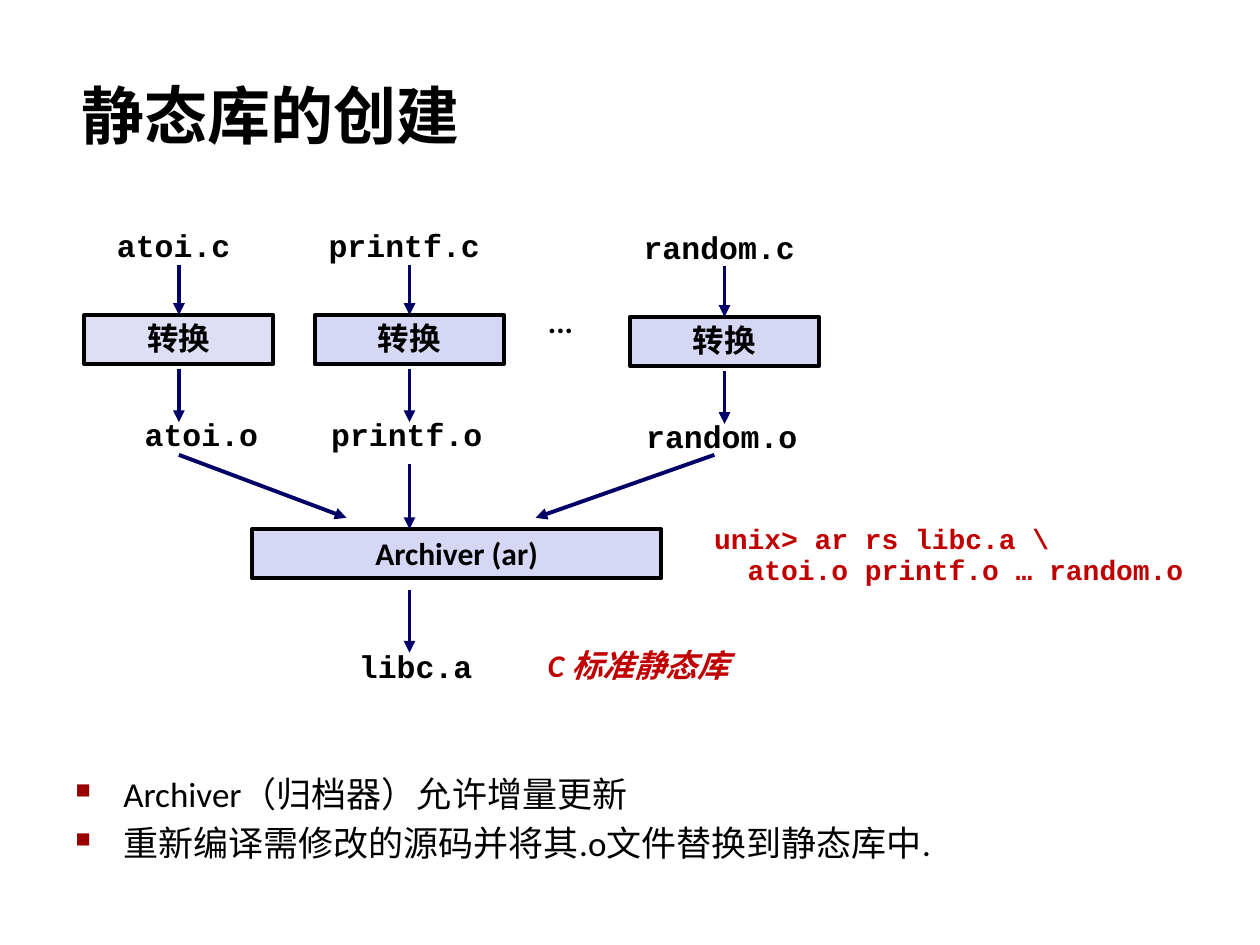
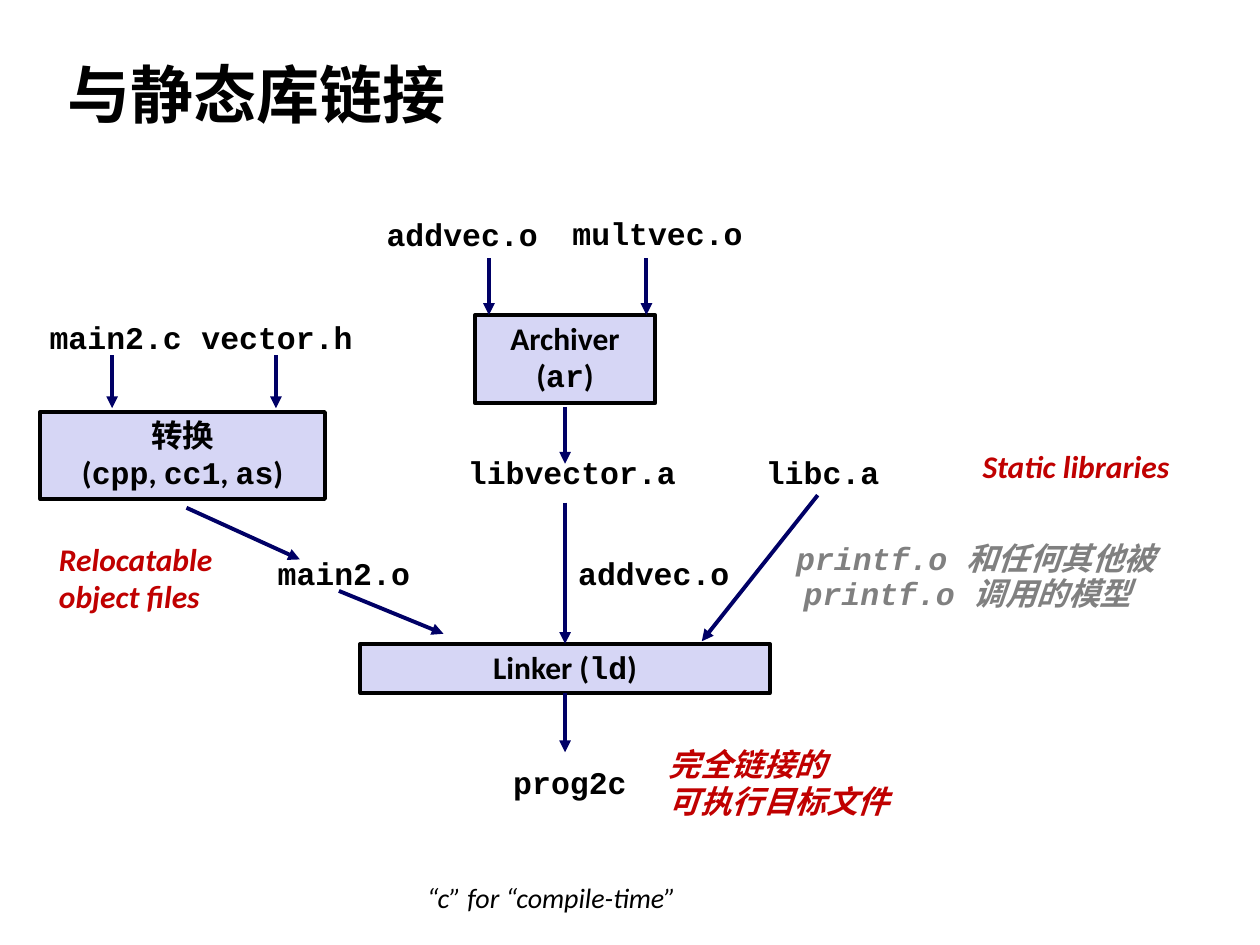
from dataclasses import dataclass
from typing import Any

from lxml.etree import SubElement as Sub
from pptx import Presentation
from pptx.dml.color import RGBColor as Rgb
from pptx.enum.shapes import MSO_CONNECTOR as Link, MSO_SHAPE as Form
from pptx.enum.text import MSO_ANCHOR as Anchor, MSO_AUTO_SIZE as Fit, PP_ALIGN as Align
from pptx.oxml.ns import qn
from pptx.util import Inches, Pt

BLACK = Rgb(0x00, 0x00, 0x00)
NAVY = Rgb(0x00, 0x00, 0x66)
RED = Rgb(0xC0, 0x00, 0x00)
GRAY = Rgb(0x80, 0x80, 0x80)
LILAC = Rgb(0xD6, 0xD6, 0xF5)
PALE = Rgb(0xDE, 0xDF, 0xF5)
SANS, MONO, HAN = "Calibri", "Courier New", "Noto Sans CJK SC"
WIDE, HIGH = Inches(10), Inches(7.5)
COLS, ROWS = 100, 75
BAR = 3.9
NOTE = dict(color=RED, italic=True)


@dataclass
class Area:
    """A box on the slide, in grid columns and rows."""
    shapes: Any
    x: float = 0
    y: float = 0
    w: float = COLS
    h: float = ROWS

    def cut(self, x, y, w, h):
        """Return a box placed relative to this one."""
        return Area(self.shapes, self.x + x, self.y + y, w, h)

    def spot(self, x, y):
        """Turn a relative grid point into slide lengths."""
        return round((self.x + x) * WIDE / COLS), round((self.y + y) * HIGH / ROWS)

    def rect(self):
        """Return the left, top, width and height of the box."""
        return *self.spot(0, 0), round(self.w * WIDE / COLS), round(self.h * HIGH / ROWS)


def write(frame, text, font=SANS, size=18, color=BLACK, bold=True, italic=False,
          align=None, space=0.98, before=0, dot=False, inset=0):
    """Fill a frame line by line; backticks mark code words."""
    for num, line in enumerate(text.split("\n")):
        para = frame.paragraphs[0] if num == 0 else frame.add_paragraph()
        if dot:
            mark(para)
        elif num and inset:
            para._p.get_or_add_pPr().set("marL", str(Inches(inset)))
        para.alignment = align
        para.line_spacing = space
        if num and before:
            para.space_before = Pt(before)
        for step, piece in enumerate(line.split("`")):
            if not piece:
                continue
            run = para.add_run()
            run.text = piece
            face = run.font
            face.name = MONO if step % 2 else font
            face.size, face.bold, face.italic = Pt(size), bold, italic
            face.color.rgb = color
            Sub(run._r.rPr, qn("a:ea")).set("typeface", HAN)


def mark(para):
    """Give a paragraph a small red square and a hanging indent."""
    props = para._p.get_or_add_pPr()
    props.set("marL", str(Inches(0.38)))
    props.set("indent", str(-Inches(0.38)))
    tint = Sub(props, qn("a:buClr"))
    Sub(tint, qn("a:srgbClr")).set("val", "990000")
    Sub(props, qn("a:buSzPct")).set("val", "60000")
    Sub(props, qn("a:buChar")).set("char", "■")


def text(area, words, wrap=False, mid=False, **fmt):
    """Put a text box over the whole area."""
    frame = area.shapes.add_textbox(*area.rect()).text_frame
    frame.word_wrap = wrap
    frame.auto_size = Fit.NONE if wrap else Fit.SHAPE_TO_FIT_TEXT
    frame.vertical_anchor = Anchor.MIDDLE if mid else Anchor.TOP
    write(frame, words, **fmt)


def title(area, words):
    """Write the slide title in its box."""
    text(area, words, wrap=True, mid=True, size=36, space=1.0)


def file(area, mid, y, name):
    """Centre a file name on a column, as wide as its letters."""
    wide = 1.5 * len(name) + 2
    text(area.cut(mid - wide / 2, y, wide, BAR), name, font=MONO, space=0.94)


def tool(area, words, fill=LILAC):
    """Draw a framed tool box over the whole area."""
    box = area.shapes.add_shape(Form.RECTANGLE, *area.rect())
    box.shadow.inherit = False
    box.fill.solid()
    box.fill.fore_color.rgb = fill
    box.line.color.rgb = BLACK
    box.line.width = Pt(2.25)
    box.text_frame.word_wrap = True
    box.text_frame.vertical_anchor = Anchor.TOP
    write(box.text_frame, words, align=Align.CENTER)
    return box


def arrow(area, start, end, source=None, goal=None):
    """Draw an arrow, joined to a box below source or above goal."""
    line = area.shapes.add_connector(Link.STRAIGHT, *area.spot(*start), *area.spot(*end))
    if source:
        line.begin_connect(source, 2)
    if goal:
        line.end_connect(goal, 0)
    line.line.color.rgb = NAVY
    line.line.width = Pt(2.25)
    Sub(line.line._get_or_add_ln(), qn("a:tailEnd")).set("type", "triangle")
    Sub(line._element.spPr, qn("a:effectLst"))


def lane(area, name, fill=LILAC, shift=-0.2):
    """Show one source file turned into an object file."""
    mid = area.w / 2
    file(area, mid - 0.4, 0, name + ".c")
    box = tool(area.cut(0, 7.3, area.w, BAR), "转换", fill)
    arrow(area, (mid, 3.3), (mid, 7.3), goal=box)
    arrow(area, (mid, 11.6), (mid, 15.8))
    file(area, mid + shift, 15, name + ".o")


def pack(area):
    """Show the object files packed into the standard library."""
    tool(area.cut(5.8, 5.9, 32.5, BAR), "Archiver (ar)")
    for start, end in (((0, 0), (13.3, 5)), ((18.3, 0.7), (18.3, 5.9)),
                       ((42.5, 0), (28.3, 5)), ((18.3, 10.7), (18.3, 15.7))):
        arrow(area, start, end)
    file(area, 18.8, 15, "libc.a")
    text(area.cut(41.5, 5, 39.8, 6.1),
         "unix> ar rs libc.a \\\n  atoi.o printf.o … random.o",
         font=MONO, size=16, color=RED, space=0.94)
    text(area.cut(28.3, 14.8, 32.5, 4), "C 标准静态库", wrap=True, **NOTE)


def build(area):
    """Lay out the slide on making a static library."""
    title(area.cut(5.5, 4.8, 95.3, 8.6), "静态库的创建")
    lane(area.cut(6.7, 17.7, 15, 19), "atoi", PALE, 1.8)
    lane(area.cut(25, 17.7, 15, 19), "printf")
    lane(area.cut(50, 17.85, 15, 19), "random")
    text(area.cut(42.5, 23.6, 4.8, 5), "...")
    pack(area.cut(14.2, 36.1, 81.3, 19))
    text(area.cut(5, 60.8, 90.9, 11.7),
         "Archiver（归档器）允许增量更新\n重新编译需修改的源码并将其.o文件替换到静态库中.",
         wrap=True, size=20, bold=False, space=1.0, before=4, dot=True)


def compile_main(area):
    """Show the main program turned into an object file."""
    for mid, name in ((6.3, "main2.c"), (19.1, "vector.h")):
        file(area, mid, 0, name)
    for mid in (6, 19):
        arrow(area, (mid, 3.2), (mid, 7.4))
    tool(area.cut(0.3, 7.7, 22.6, 6.9), "转换\n(`cpp`, `cc1`, `as`)")
    arrow(area, (11.9, 15.3), (20.9, 19.4))
    file(area, 24.4, 18.7, "main2.o")
    text(area.cut(0.8, 17.5, 14.3, 7), "Relocatable\nobject files", **NOTE)


def archive(area):
    """Show the vector files packed into a library."""
    file(area, 7, 0.1, "addvec.o")
    file(area, 22.5, 0, "multvec.o")
    tool(area.cut(8, 8.3, 14.3, 7), "Archiver\n(`ar`)")
    for mid in (9.1, 21.6):
        arrow(area, (mid, 3.8), (mid, 8.3))
    arrow(area, (15.15, 15.6), (15.15, 20.1))
    file(area, 15.7, 19, "libvector.a")


def link(area):
    """Show the linker joining program and libraries."""
    file(area, 36.7, 0, "libc.a")
    text(area.cut(48.4, -0.6, 17, 4), "Static libraries", **NOTE)
    file(area, 23.3, 8, "addvec.o")
    text(area.cut(33.6, 6.8, 30.5, 6.7), "printf.o 和任何其他被\nprintf.o 调用的模型",
         wrap=True, font=MONO, color=GRAY, italic=True, space=0.94, inset=0.06)
    box = tool(area.cut(0, 15.4, 32.5, BAR), "Linker (`ld`)")
    mid = 16.25
    arrow(area, (-1.7, 11.2), (6.6, 14.6))
    arrow(area, (mid, 4.2), (mid, 15.4), goal=box)
    arrow(area, (36.3, 3.6), (27.1, 15.2))
    arrow(area, (mid, 19.3), (mid, 24), source=box)
    file(area, 16.65, 24.6, "prog2c")
    text(area.cut(23.5, 23.1, 19.6, 6.9), "完全链接的\n可执行目标文件", **NOTE)


def join(area):
    """Lay out the slide on linking with static libraries."""
    title(area.cut(4.4, 3.1, 61.4, 8.6), "与静态库链接")
    compile_main(area.cut(2.9, 25, 30.6, 25))
    archive(area.cut(29.7, 16.7, 30.1, 23))
    link(area.cut(28.6, 35.7, 65.4, 30))
    text(area.cut(32.9, 69.4, 23.8, 3.7), "“c” for “compile-time”",
         size=16, bold=False, italic=True, space=1.0)


def main():
    """Build both slides and save them."""
    deck = Presentation()
    deck.slide_width, deck.slide_height = WIDE, HIGH
    for draw in (build, join):
        draw(Area(deck.slides.add_slide(deck.slide_layouts[6]).shapes))
    deck.save("out.pptx")


if __name__ == "__main__":
    main()
